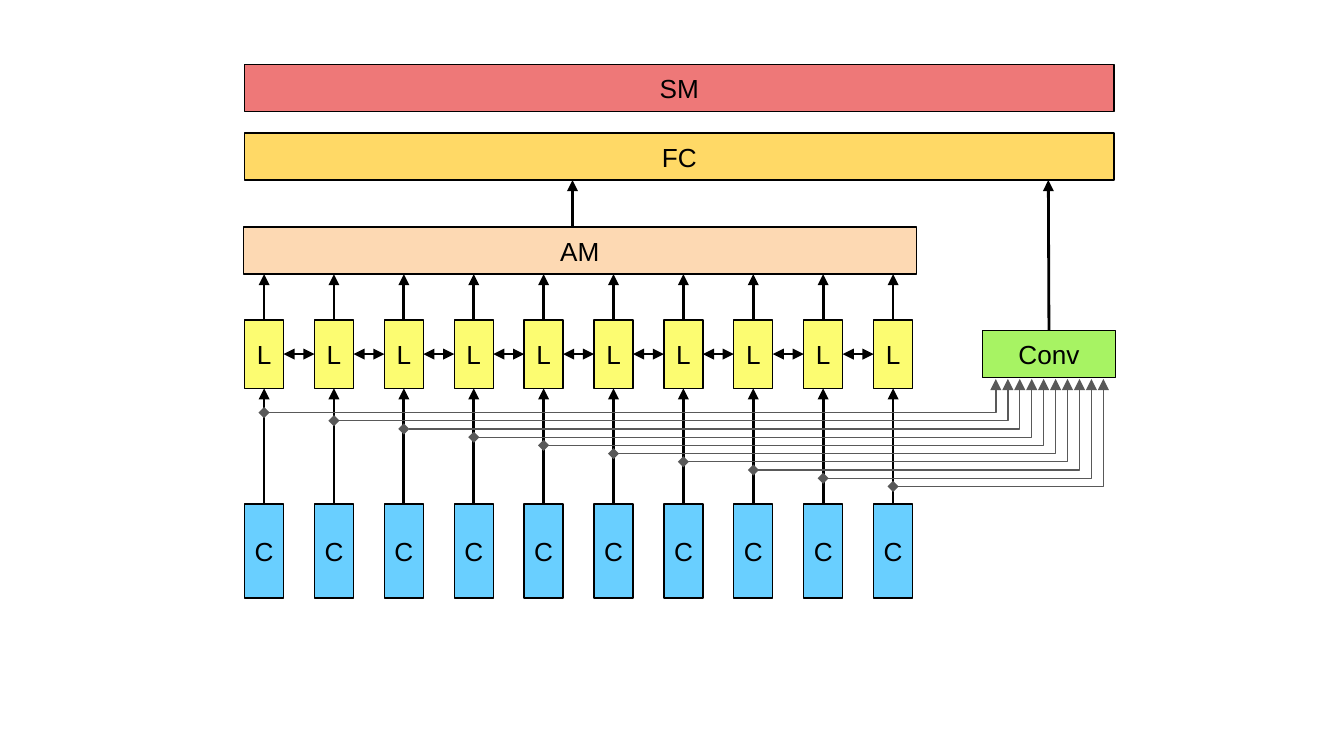
"""Build a slide of a layered network diagram with a convolution branch."""
from dataclasses import dataclass

from lxml.etree import SubElement
from pptx import Presentation
from pptx.dml.color import RGBColor
from pptx.enum.shapes import MSO_CONNECTOR, MSO_SHAPE
from pptx.enum.text import MSO_ANCHOR, PP_ALIGN
from pptx.oxml.ns import qn
from pptx.util import Inches, Pt


@dataclass(frozen=True)
class Theme:
    font: str = "Arial"
    size: float = 14
    ink: str = "000000"
    tap: str = "595959"
    thin: float = 0.75
    thick: float = 1.5


THEME = Theme()
SLIDE_W = 10
SLIDE_H = SLIDE_W * 9 / 16
COLUMNS, LEFT, PITCH, CELL_W = 10, 1.82, 0.52, 0.29
BAR_H = 0.35
TOP, LEFT_SIDE, BOTTOM, RIGHT_SIDE = range(4)
BLOCKS = {
    "SM": (LEFT, 0.48, 6.47, BAR_H, "EE7878"),
    "FC": (LEFT, 0.99, 6.47, BAR_H, "FFD966"),
    "AM": (1.81, 1.69, 5.01, BAR_H, "FDD9B3"),
    "Conv": (7.31, 2.46, 0.99, BAR_H, "A7F363"),
}
CELLS = {
    "L": (2.38, 0.51, "FCFC71"),
    "C": (3.75, 0.7, "69CFFF"),
}
FC_BOTTOM, AM_TOP, AM_BOTTOM, CONV_BOTTOM = 1.34, 1.69, 2.04, 2.82
AM_ARROW_X, CONV_ARROW_X = 4.26, 7.8
TAP_START, TAP_END = (7.41, 3.07), (8.21, 3.62)


def add_block(slide, label, x, y, w, h, fill):
    s = slide.shapes.add_shape(MSO_SHAPE.RECTANGLE, *map(Inches, (x, y, w, h)))
    s.shadow.inherit = False
    s.fill.solid()
    s.fill.fore_color.rgb = RGBColor.from_string(fill)
    s.line.color.rgb = RGBColor.from_string(THEME.ink)
    s.line.width = Pt(THEME.thin)
    tf = s.text_frame
    tf.margin_left = tf.margin_right = tf.margin_top = tf.margin_bottom = 0
    tf.vertical_anchor = MSO_ANCHOR.MIDDLE
    tf.text = label
    p = tf.paragraphs[0]
    p.alignment = PP_ALIGN.CENTER
    font = p.runs[0].font
    font.name, font.size = THEME.font, Pt(THEME.size)
    font.color.rgb = RGBColor.from_string(THEME.ink)
    return s


def add_arrow(slide, start, end, width, color=THEME.ink, head=None,
              kind=MSO_CONNECTOR.STRAIGHT):
    c = slide.shapes.add_connector(kind, *map(Inches, (*start, *end)))
    c.line.color.rgb = RGBColor.from_string(color)
    c.line.width = Pt(width)
    ln = c.line._get_or_add_ln()
    if head:
        SubElement(ln, qn("a:headEnd"), type=head)
    SubElement(ln, qn("a:tailEnd"), type="triangle")
    SubElement(c._element.spPr, qn("a:effectLst"))
    return c


def add_tap(slide, start, end):
    c = add_arrow(slide, start, end, THEME.thin, THEME.tap, "diamond",
                  MSO_CONNECTOR.ELBOW)
    adjustments = c._element.spPr.find(qn("a:prstGeom")).find(qn("a:avLst"))
    SubElement(adjustments, qn("a:gd"), name="adj1", fmla="val 100000")


def main():
    prs = Presentation()
    prs.slide_width, prs.slide_height = Inches(SLIDE_W), Inches(SLIDE_H)
    slide = prs.slides.add_slide(prs.slide_layouts[6])

    blocks = {name: add_block(slide, name, *box) for name, box in BLOCKS.items()}
    lefts = [LEFT + i * PITCH for i in range(COLUMNS)]
    rows = {name: [add_block(slide, name, x, y, CELL_W, h, fill) for x in lefts]
            for name, (y, h, fill) in CELLS.items()}

    l_top, l_height, _ = CELLS["L"]
    c_top = CELLS["C"][0]
    l_bottom, l_middle = l_top + l_height, l_top + l_height / 2

    for x, l_cell, c_cell in zip(lefts, rows["L"], rows["C"]):
        mid = x + CELL_W / 2
        up = add_arrow(slide, (mid, c_top), (mid, l_bottom), THEME.thick)
        up.begin_connect(c_cell, TOP)
        up.end_connect(l_cell, BOTTOM)
        out = add_arrow(slide, (mid, l_top), (mid, AM_BOTTOM), THEME.thick)
        out.begin_connect(l_cell, TOP)

    for x, a, b in zip(lefts, rows["L"], rows["L"][1:]):
        link = add_arrow(slide, (x + CELL_W, l_middle), (x + PITCH, l_middle),
                         THEME.thin, head="triangle")
        link.begin_connect(a, RIGHT_SIDE)
        link.end_connect(b, LEFT_SIDE)

    for i, x in enumerate(lefts):
        tap_x, tap_y = (a + (b - a) * i / (COLUMNS - 1)
                        for a, b in zip(TAP_START, TAP_END))
        add_tap(slide, (x + CELL_W / 2, tap_y), (tap_x, CONV_BOTTOM))

    add_arrow(slide, (AM_ARROW_X, AM_TOP), (AM_ARROW_X, FC_BOTTOM), THEME.thick)
    conv = add_arrow(slide, (CONV_ARROW_X, BLOCKS["Conv"][1]),
                     (CONV_ARROW_X, FC_BOTTOM), THEME.thick)
    conv.begin_connect(blocks["Conv"], TOP)

    prs.save("out.pptx")


if __name__ == "__main__":
    main()
